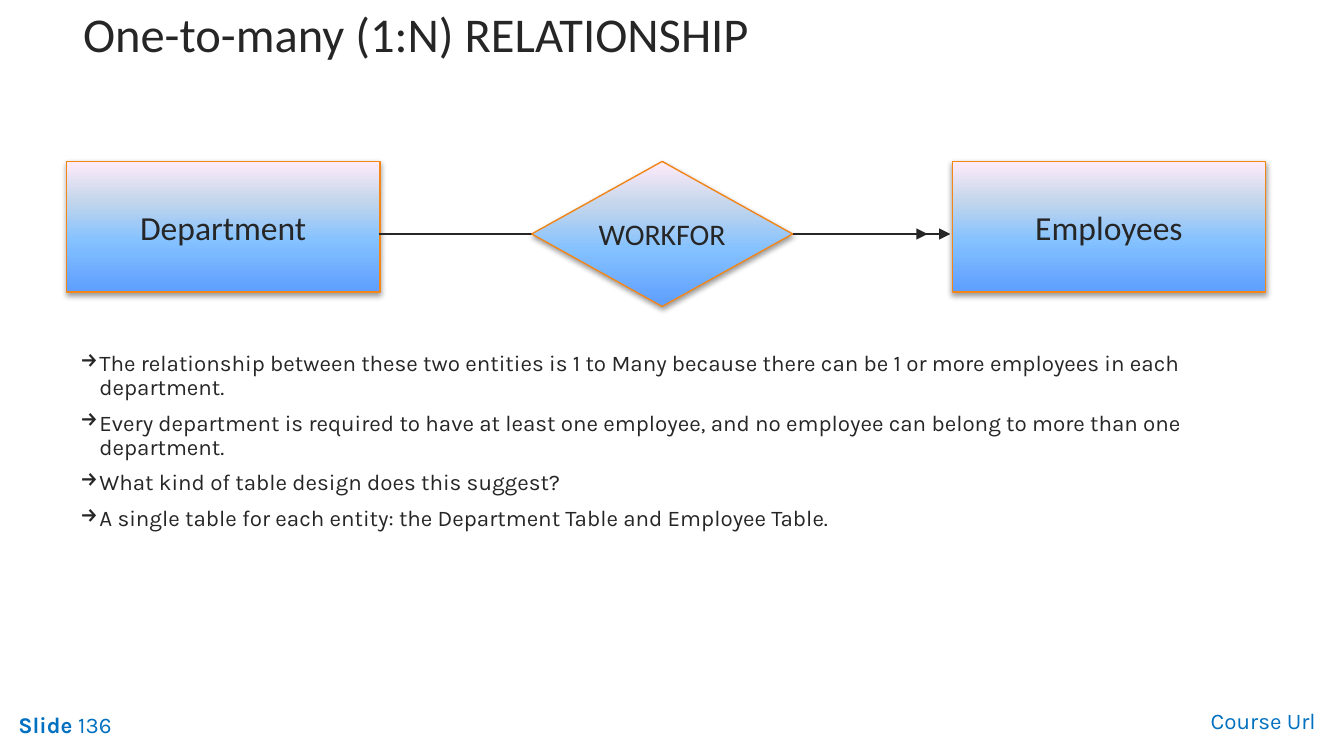
from dataclasses import dataclass

import pptx
import pptx.dml.color
import pptx.enum.shapes
import pptx.enum.text
import pptx.oxml
import pptx.oxml.ns
import pptx.util
from pptx.dml.color import RGBColor
from pptx.util import Cm

INK = RGBColor(0x26, 0x26, 0x26)
FOOTER_BLUE = RGBColor(0x00, 0x70, 0xC0)
OUTLINE_ORANGE = RGBColor(0xF4, 0x86, 0x18)
GRADIENT = (
    (0, RGBColor(0x5E, 0x9E, 0xFF)),
    (40, RGBColor(0x85, 0xC2, 0xFF)),
    (70, RGBColor(0xC4, 0xD6, 0xEB)),
    (100, RGBColor(0xFF, 0xEB, 0xFA)),
)
NAMESPACE = pptx.oxml.ns.nsdecls("a")
ALIGN = pptx.enum.text.PP_ALIGN
ANCHOR = pptx.enum.text.MSO_ANCHOR
SHAPE = pptx.enum.shapes.MSO_SHAPE


@dataclass(frozen=True)
class Node:
    """A box or diamond of the diagram, in centimetres."""
    label: str
    kind: pptx.enum.shapes.MSO_SHAPE
    left: float
    width: float
    height: float
    size: int


@dataclass(frozen=True)
class Arrow:
    start: float
    end: float


NODE_TOP = 3.05
ARROW_Y = 4.42
NODES = (
    Node("Employees", SHAPE.RECTANGLE, 18.0, 5.92, 2.47, 18),
    Node("Department", SHAPE.RECTANGLE, 1.26, 5.92, 2.47, 18),
    Node("WORKFOR", SHAPE.DIAMOND, 10.05, 4.93, 2.74, 16),
)
ARROWS = (Arrow(7.17, 17.53), Arrow(7.9, 17.96))
POINTS = (
    "The relationship between these two entities is 1 to Many because there can be "
    "1 or more employees in each department.",
    "Every department is required to have at least one employee, and no employee "
    "can belong to more than one department.",
    "What kind of table design does this suggest?",
    "A single table for each entity: the Department Table and Employee Table.",
)


def add_run(paragraph, text: str, size: int, font: str, color: RGBColor,
            bold: bool = False) -> None:
    run = paragraph.add_run()
    run.text = text
    run.font.size = pptx.util.Pt(size)
    run.font.name = font
    run.font.bold = bold
    run.font.color.rgb = color


def add_text_frame(slide, left: float, top: float, width: float, height: float):
    frame = slide.shapes.add_textbox(Cm(left), Cm(top), Cm(width), Cm(height)).text_frame
    frame.word_wrap = True
    return frame


def add_node(slide, node: Node) -> None:
    shape = slide.shapes.add_shape(
        node.kind, Cm(node.left), Cm(NODE_TOP), Cm(node.width), Cm(node.height))
    shape.line.color.rgb = OUTLINE_ORANGE
    shape.line.width = pptx.util.Pt(0.75)

    # Gradient rising from the bottom edge
    shape.fill.gradient()
    shape.fill.gradient_angle = 90
    properties = shape._element.spPr
    stops = properties.find(".//" + pptx.oxml.ns.qn("a:gsLst"))
    for stop in list(stops):
        stops.remove(stop)
    for position, color in GRADIENT:
        stops.append(pptx.oxml.parse_xml(
            f'<a:gs {NAMESPACE} pos="{position * 1000}"><a:srgbClr val="{color}"/></a:gs>'))

    # Soft shadow below
    shape.shadow.inherit = False
    effects = properties.find(pptx.oxml.ns.qn("a:effectLst"))
    effects.append(pptx.oxml.parse_xml(
        f'<a:outerShdw {NAMESPACE} blurRad="{pptx.util.Pt(3.1)}" '
        f'dist="{pptx.util.Pt(1.6)}" dir="5400000" rotWithShape="0">'
        '<a:srgbClr val="000000"><a:alpha val="38000"/></a:srgbClr></a:outerShdw>'))

    frame = shape.text_frame
    frame.word_wrap = False
    frame.vertical_anchor = ANCHOR.MIDDLE
    paragraph = frame.paragraphs[0]
    paragraph.alignment = ALIGN.CENTER
    add_run(paragraph, node.label, node.size, "Calibri", INK)


def add_arrow(slide, arrow: Arrow) -> None:
    connector = slide.shapes.add_connector(
        pptx.enum.shapes.MSO_CONNECTOR.STRAIGHT,
        Cm(arrow.start), Cm(ARROW_Y), Cm(arrow.end), Cm(ARROW_Y))
    connector.line.color.rgb = INK
    connector.line.width = pptx.util.Pt(0.75)
    connector.line._get_or_add_ln().append(
        pptx.oxml.parse_xml(f'<a:tailEnd {NAMESPACE} type="triangle"/>'))
    connector._element.spPr.append(pptx.oxml.parse_xml(f"<a:effectLst {NAMESPACE}/>"))


def add_point(paragraph, text: str) -> None:
    properties = paragraph._p.get_or_add_pPr()
    properties.set("marL", str(Cm(0.36)))
    properties.set("indent", str(-Cm(0.36)))
    properties.append(pptx.oxml.parse_xml(f'<a:buChar {NAMESPACE} char="→"/>'))
    paragraph.line_spacing = 0.9
    paragraph.space_after = pptx.util.Pt(6)
    add_run(paragraph, text, 12, "Karla", INK)


def main() -> None:
    presentation = pptx.Presentation()
    presentation.slide_width = Cm(25.4)
    presentation.slide_height = Cm(14.28)
    slide = presentation.slides.add_slide(presentation.slide_layouts[6])

    # Footer
    number = add_text_frame(slide, 0.1, 13.31, 4.01, 0.76).paragraphs[0]
    add_run(number, "Slide ", 12, "Karla", FOOTER_BLUE, bold=True)
    add_run(number, "136", 12, "Karla", FOOTER_BLUE)
    course = add_text_frame(slide, 14.27, 13.23, 10.85, 0.76).paragraphs[0]
    course.alignment = ALIGN.RIGHT
    add_run(course, "Course Url", 12, "Karla", FOOTER_BLUE)

    # Title
    title = add_text_frame(slide, 1.32, 0, 21.9, 1.27)
    title.margin_top = title.margin_bottom = 0
    title.vertical_anchor = ANCHOR.MIDDLE
    add_run(title.paragraphs[0], "One-to-many (1:N) RELATIONSHIP", 26, "Calibri", INK)

    # Explanation
    body = add_text_frame(slide, 1.27, 6.53, 21.9, 6.8)
    for index, text in enumerate(POINTS):
        add_point(body.add_paragraph() if index else body.paragraphs[0], text)

    # Diagram: the diamond covers the arrows that run behind it
    *boxes, diamond = NODES
    for box in boxes:
        add_node(slide, box)
    for arrow in ARROWS:
        add_arrow(slide, arrow)
    add_node(slide, diamond)

    presentation.save("out.pptx")


if __name__ == "__main__":
    main()
